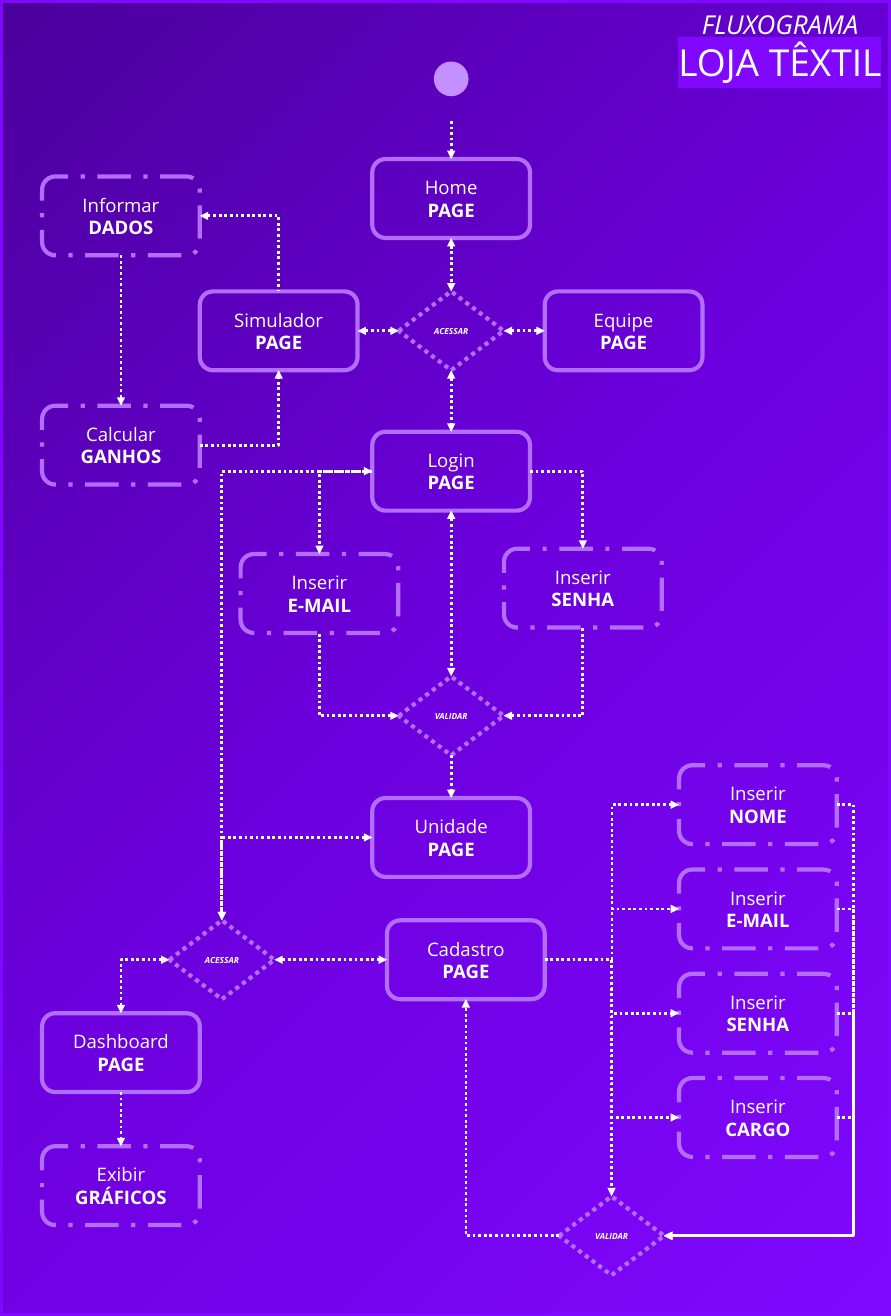
import copy

import lxml.etree
import pptx
import pptx.dml.color
import pptx.enum.dml
import pptx.enum.shapes
import pptx.enum.text
import pptx.oxml.ns
import pptx.util

RGB = pptx.dml.color.RGBColor
WHITE = RGB(0xFF, 0xFF, 0xFF)
DEEP = RGB(0x4C, 0x00, 0x9C)
MIDDLE = RGB(0x6C, 0x00, 0xDE)
BRIGHT = RGB(0x80, 0x08, 0xFF)
OUTLINE = RGB(0xB3, 0x6D, 0xFF)
START = RGB(0xC4, 0x8F, 0xFF)

FONT = "Open Sans"
WIDTH, HEIGHT = 13.33, 19.69
SHAPES = pptx.enum.shapes.MSO_SHAPE
DASHES = pptx.enum.dml.MSO_LINE
INCH = pptx.util.Inches
qn = pptx.oxml.ns.qn

# Centre lines of the columns and of the main rows, in inches
AXIS, LEFT, SIMULATOR, UNIT = 6.75, 1.81, 4.17, 3.32
EMAIL, PASSWORD, REGISTER, CHECK, FORM = 4.78, 8.72, 6.97, 9.15, 11.34
FORM_TOP, FORM_STEP = 12.04, 1.56

# kind: preset shape, width, height, dash
KINDS = {
    "page": (SHAPES.ROUNDED_RECTANGLE, 2.36, 1.18, DASHES.SOLID),
    "action": (SHAPES.ROUNDED_RECTANGLE, 2.36, 1.18, DASHES.LONG_DASH_DOT),
    "decision": (SHAPES.DIAMOND, 1.57, 1.18, DASHES.ROUND_DOT),
}

# name: kind, centre x, centre y, lines of text
NODES = {
    "home": ("page", AXIS, 2.97, "Home", "PAGE"),
    "access": ("decision", AXIS, 4.95, "ACESSAR"),
    "team": ("page", 9.33, 4.95, "Equipe", "PAGE"),
    "simulator": ("page", SIMULATOR, 4.95, "Simulador", "PAGE"),
    "data": ("action", LEFT, 3.23, "Informar", "DADOS"),
    "gains": ("action", LEFT, 6.66, "Calcular", "GANHOS"),
    "login": ("page", AXIS, 7.05, "Login", "PAGE"),
    "email": ("action", EMAIL, 8.88, "Inserir", "E-MAIL"),
    "password": ("action", PASSWORD, 8.80, "Inserir", "SENHA"),
    "validate": ("decision", AXIS, 10.71, "VALIDAR"),
    "unit": ("page", AXIS, 12.53, "Unidade", "PAGE"),
    "unit access": ("decision", UNIT, 14.36, "ACESSAR"),
    "dashboard": ("page", LEFT, 15.75, "Dashboard", "PAGE"),
    "charts": ("action", LEFT, 17.74, "Exibir", "GRÁFICOS"),
    "register": ("page", REGISTER, 14.36, "Cadastro", "PAGE"),
    "check": ("decision", CHECK, 18.49, "VALIDAR"),
}
FIELDS = ["NOME", "E-MAIL", "SENHA", "CARGO"]
for row, field in enumerate(FIELDS):
    NODES[field] = ("action", FORM, FORM_TOP + row * FORM_STEP, "Inserir", field)

# start, side, end, side, arrowheads; corners leave the start sideways
LINKS = [
    ("home", "bottom", "access", "top", "both"),
    ("access", "right", "team", "left", "both"),
    ("simulator", "right", "access", "left", "both"),
    ("data", "right", "simulator", "top", "start"),
    ("data", "bottom", "gains", "top", "end"),
    ("gains", "right", "simulator", "bottom", "end"),
    ("access", "bottom", "login", "top", "both"),
    ("login", "left", "email", "top", "end"),
    ("login", "right", "password", "top", "end"),
    ("login", "bottom", "validate", "top", "both"),
    ("validate", "left", "email", "bottom", "start"),
    ("validate", "right", "password", "bottom", "start"),
    ("validate", "bottom", "unit", "top", "end"),
    ("unit", "left", "unit access", "top", "both"),
    ("login", "left", "unit access", "top", "both"),
    ("unit access", "right", "register", "left", "both"),
    ("unit access", "left", "dashboard", "top", "both"),
    ("dashboard", "bottom", "charts", "top", "end"),
    *[("register", "right", field, "left", "end") for field in FIELDS],
    ("register", "right", "check", "top", "end"),
    *[(field, "right", "check", "right", "end") for field in FIELDS],
    ("check", "left", "register", "bottom", "end"),
]
# side: connection site, direction from the centre
SIDES = {"top": (0, 0, -1), "left": (1, -1, 0), "bottom": (2, 0, 1), "right": (3, 1, 0)}
LOOP = -0.097  # how far the return lines swing out, as a share of their width


def write(frame, text, new=False, size=20, bold=False, italic=False, highlight=None):
    """Write one centred paragraph and return its span."""
    para = frame.add_paragraph() if new else frame.paragraphs[0]
    para.alignment = pptx.enum.text.PP_ALIGN.CENTER
    span = para.add_run()
    span.text = text
    font = span.font
    font.name, font.size, font.bold, font.italic = FONT, pptx.util.Pt(size), bold, italic
    font.color.rgb = WHITE
    if highlight is not None:
        mark = lxml.etree.Element(qn("a:highlight"))
        lxml.etree.SubElement(mark, qn("a:srgbClr"), val=str(highlight))
        span._r.rPr.find(qn("a:solidFill")).addnext(mark)
    return span


def add_shape(page, preset, left, top, width, height):
    """Add a preset shape without shadow."""
    shape = page.shapes.add_shape(preset, INCH(left), INCH(top), INCH(width), INCH(height))
    shape.shadow.inherit = False
    return shape


def set_line(line, color, width, dash=DASHES.SOLID):
    """Set colour, width in points and dash of a line."""
    line.color.rgb = color
    line.width = pptx.util.Pt(width)
    line.dash_style = dash


def add_background(page):
    """Cover the page with a framed diagonal gradient."""
    shape = add_shape(page, SHAPES.RECTANGLE, 0, 0, WIDTH, HEIGHT)
    shape.fill.gradient()
    shape.fill.gradient_angle = 315
    stops = shape._element.spPr.find(".//" + qn("a:gsLst"))
    stops.append(copy.deepcopy(stops[0]))
    for stop, color, position in zip(shape.fill.gradient_stops, (DEEP, MIDDLE, BRIGHT), (0, 0.5, 1)):
        stop.color.rgb = color
        stop.position = position
    set_line(shape.line, BRIGHT, 6)


def add_node(page, kind, x, y, *lines):
    """Add a step of the flow, centred on x and y."""
    preset, width, height, dash = KINDS[kind]
    shape = add_shape(page, preset, x - width / 2, y - height / 2, width, height)
    shape.fill.background()
    set_line(shape.line, OUTLINE, 4.5, dash)
    frame = shape.text_frame
    frame.word_wrap = True
    frame.margin_left = frame.margin_right = 0
    frame.vertical_anchor = pptx.enum.text.MSO_ANCHOR.MIDDLE
    if kind == "decision":
        write(frame, lines[0], size=9, bold=True, italic=True)
    else:
        write(frame, lines[0])
        write(frame, lines[1], new=True, bold=True)
    return shape


def add_arrow(page, start, end, heads, preset="line"):
    """Draw a dotted connector between two points."""
    kinds = pptx.enum.shapes.MSO_CONNECTOR
    kind = kinds.STRAIGHT if preset == "line" else kinds.ELBOW
    arrow = page.shapes.add_connector(kind, *[INCH(value) for value in (*start, *end)])
    set_line(arrow.line, WHITE, 3, DASHES.ROUND_DOT)
    properties = arrow._element.spPr
    properties.find(qn("a:prstGeom")).set("prst", preset)
    for tag, place in (("a:headEnd", "start"), ("a:tailEnd", "end")):
        if heads in (place, "both"):
            lxml.etree.SubElement(arrow.line._ln, qn(tag), type="triangle")
    lxml.etree.SubElement(properties, qn("a:effectLst"))
    return arrow


def side_point(name, side):
    """Return the middle of one side of a node."""
    kind, x, y = NODES[name][:3]
    width, height = KINDS[kind][1:3]
    _, across, down = SIDES[side]
    return x + across * width / 2, y + down * height / 2


def add_link(page, shapes, first, first_side, last, last_side, heads):
    """Glue an arrow to two nodes, with the bends its sides call for."""
    start, end = side_point(first, first_side), side_point(last, last_side)
    if any(abs(a - b) < 0.01 for a, b in zip(start, end)):
        preset = "line"
    else:
        preset = "bentConnector2" if last_side in ("top", "bottom") else "bentConnector3"
    arrow = add_arrow(page, start, end, heads, preset)
    arrow.begin_connect(shapes[first], SIDES[first_side][0])
    arrow.end_connect(shapes[last], SIDES[last_side][0])
    if first_side == last_side:
        guides = arrow._element.spPr.find(qn("a:prstGeom")).get_or_add_avLst()
        lxml.etree.SubElement(guides, qn("a:gd"), name="adj1", fmla=f"val {round(LOOP * 100000)}")


deck = pptx.Presentation()
deck.slide_width, deck.slide_height = INCH(WIDTH), INCH(HEIGHT)
page = deck.slides.add_slide(deck.slide_layouts[6])
add_background(page)

box = page.shapes.add_textbox(INCH(9.9), INCH(0.08), INCH(3.54), INCH(1.25))
box.text_frame.word_wrap = True
write(box.text_frame, "FLUXOGRAMA", size=28, italic=True)
write(box.text_frame, "LOJA TÊXTIL", new=True, size=40, highlight=BRIGHT)

circle = add_shape(page, SHAPES.OVAL, AXIS - 0.26, 0.92, 0.52, 0.52)
circle.fill.solid()
circle.fill.fore_color.rgb = START
circle.line.fill.background()

shapes = {name: add_node(page, *node) for name, node in NODES.items()}
add_arrow(page, (AXIS, 1.81), side_point("home", "top"), "end")
for link in LINKS:
    add_link(page, shapes, *link)

deck.save("out.pptx")
